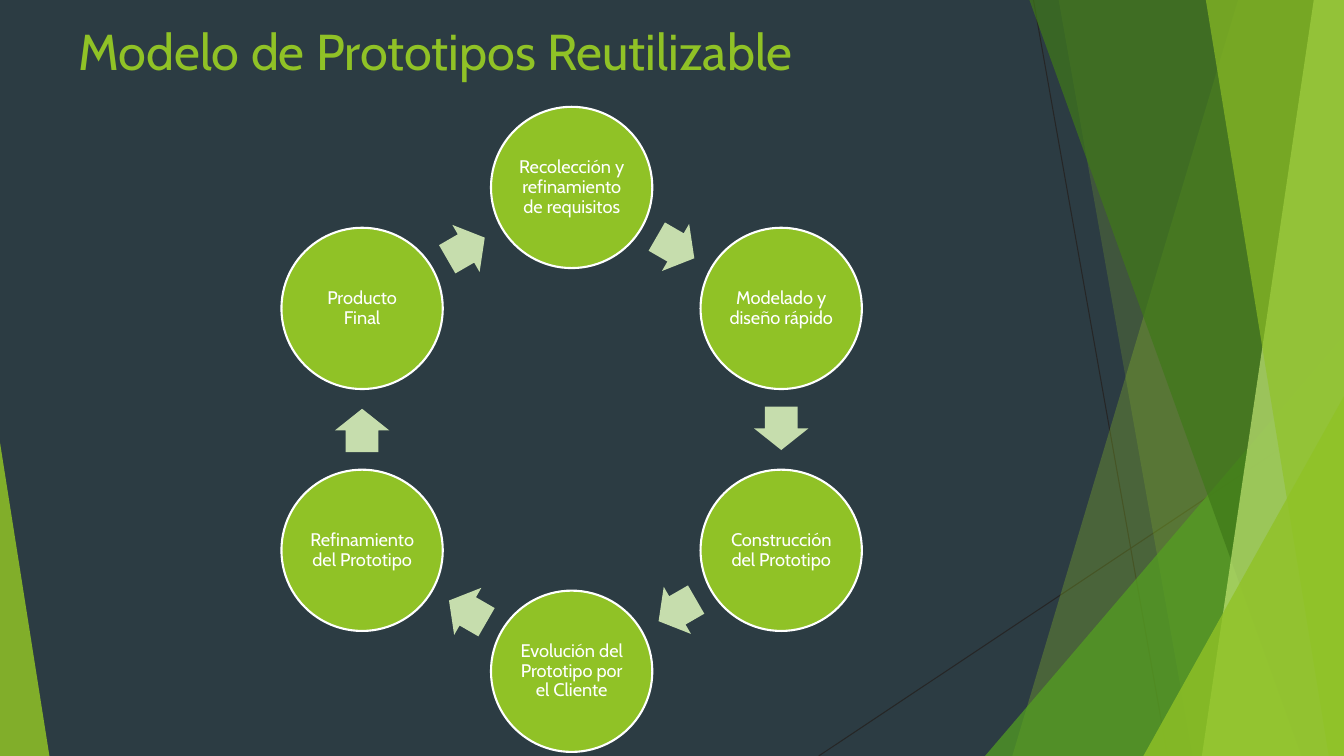
from math import cos, radians, sin

from lxml import etree
from pptx import Presentation
from pptx.dml.color import RGBColor
from pptx.enum.shapes import MSO_CONNECTOR, MSO_SHAPE
from pptx.enum.text import MSO_ANCHOR, PP_ALIGN
from pptx.oxml.ns import qn
from pptx.util import Inches, Pt

STRAIGHT = MSO_CONNECTOR.STRAIGHT
TRIANGLE, OVAL, RIGHT_ARROW = MSO_SHAPE.ISOSCELES_TRIANGLE, MSO_SHAPE.OVAL, MSO_SHAPE.RIGHT_ARROW
MIDDLE, CENTER = MSO_ANCHOR.MIDDLE, PP_ALIGN.CENTER

SLATE = RGBColor(0x2C, 0x3C, 0x43)
CHARCOAL = RGBColor(0x26, 0x26, 0x26)
LIME = RGBColor(0x90, 0xC2, 0x26)
GREEN = RGBColor(0x54, 0xA0, 0x21)
FOREST = RGBColor(0x3F, 0x78, 0x19)
PALE_LIME = RGBColor(0xC0, 0xE4, 0x74)
PALE_GREEN = RGBColor(0xC6, 0xDD, 0xAD)
WHITE = RGBColor(0xFF, 0xFF, 0xFF)

FONT = "Cabin"
WIDTH, HEIGHT = 13.33, 7.5
CYCLE_X, CYCLE_Y, CYCLE_RADIUS = 5.67, 4.26, 2.4
STAGE_SIZE = 1.6
ARROW_WIDTH, ARROW_HEIGHT, ARROW_LAG = 0.43, 0.54, 0.01
STAGES = [
    "Recolección y refinamiento de requisitos",
    "Modelado y diseño rápido",
    "Construcción del Prototipo",
    "Evolución del Prototipo por el Cliente",
    "Refinamiento del Prototipo",
    "Producto Final",
]


def paint(shape, color, opacity=100):
    """Give a shape a flat fill with no outline or shadow."""
    shape.shadow.inherit = False
    shape.line.fill.background()
    shape.fill.solid()
    shape.fill.fore_color.rgb = color
    if opacity < 100:
        tint = shape.fill._xPr.find(qn("a:solidFill"))[0]
        etree.SubElement(tint, qn("a:alpha"), val=str(opacity * 1000))


def add_ray(slide, start, end):
    """Draw a thin dark line between two points."""
    ray = slide.shapes.add_connector(STRAIGHT, *map(Inches, start + end))
    ray.line.color.rgb = CHARCOAL
    ray.line.width = Pt(0.75)
    etree.SubElement(ray._element.spPr, qn("a:effectLst"))


def add_facet(slide, top_x, bottom_x, color, opacity):
    """Fill the area between a slanted edge and the right side of the slide."""
    builder = slide.shapes.build_freeform(Inches(top_x), 0)
    corners = [(WIDTH, 0), (WIDTH, HEIGHT), (bottom_x, HEIGHT)]
    builder.add_line_segments([(Inches(x), Inches(y)) for x, y in corners])
    paint(builder.convert_to_shape(), color, opacity)


def add_corner(slide, left, top, width, apex, color, opacity):
    """Draw a right triangle standing on the bottom edge of the slide."""
    corner = slide.shapes.add_shape(
        TRIANGLE, Inches(left), Inches(top), Inches(width), Inches(HEIGHT - top))
    corner.adjustments[0] = apex
    paint(corner, color, opacity)


def add_backdrop(slide):
    """Draw the translucent facets around the slide."""
    slide.background.fill.solid()
    slide.background.fill.fore_color.rgb = SLATE
    add_ray(slide, (10.25, 0), (11.58, HEIGHT))
    add_ray(slide, (WIDTH, 4.03), (8.12, HEIGHT))
    add_facet(slide, 12.28, 10.04, LIME, 30)
    add_facet(slide, 10.5, 11.83, LIME, 20)
    add_corner(slide, 9.77, 3.33, 3.56, 1, GREEN, 72)
    add_facet(slide, 10.21, 12.91, FOREST, 70)
    add_facet(slide, 13.03, 11.92, PALE_LIME, 70)
    add_facet(slide, 11.96, 13.18, LIME, 65)
    add_corner(slide, 11.34, 3.93, 1.99, 1, LIME, 80)
    add_corner(slide, 0, 4.39, 0.49, 0, LIME, 85)


def write(paragraph, text, size, color):
    """Set the text and font of a paragraph."""
    paragraph.text = text
    paragraph.font.name = FONT
    paragraph.font.size = Pt(size)
    paragraph.font.color.rgb = color


def add_title(slide, text):
    """Add the slide heading."""
    title = slide.shapes.add_textbox(Inches(0.68), Inches(0.15), Inches(9.4), Inches(0.91))
    title.text_frame.word_wrap = True
    write(title.text_frame.paragraphs[0], text, 36, LIME)


def add_stage(slide, text, x, y):
    """Add a labelled circle centred on a point."""
    stage = slide.shapes.add_shape(
        OVAL, Inches(x - STAGE_SIZE / 2), Inches(y - STAGE_SIZE / 2),
        Inches(STAGE_SIZE), Inches(STAGE_SIZE))
    paint(stage, LIME)
    stage.line.color.rgb = WHITE
    stage.line.width = Pt(1.5)
    frame = stage.text_frame
    frame.word_wrap = True
    frame.vertical_anchor = MIDDLE
    frame.margin_left = frame.margin_right = Inches(0.02)
    frame.margin_top = frame.margin_bottom = Inches(0.02)
    label = frame.paragraphs[0]
    label.alignment = CENTER
    label.line_spacing = 0.9
    write(label, text, 13, WHITE)


def add_arrow(slide, x, y, rotation):
    """Add a block arrow centred on a point."""
    arrow = slide.shapes.add_shape(
        RIGHT_ARROW, Inches(x - ARROW_WIDTH / 2), Inches(y - ARROW_HEIGHT / 2),
        Inches(ARROW_WIDTH), Inches(ARROW_HEIGHT))
    arrow.adjustments[0] = 0.6
    arrow.adjustments[1] = 0.5
    arrow.rotation = rotation
    paint(arrow, PALE_GREEN)


def add_cycle(slide):
    """Place the stages clockwise from the top with arrows between them."""
    step = 360 / len(STAGES)
    arrow_radius = CYCLE_RADIUS * cos(radians(step / 2))
    for index, stage in enumerate(STAGES):
        angle = radians(index * step - 90)
        add_stage(slide, stage, CYCLE_X + CYCLE_RADIUS * cos(angle),
                  CYCLE_Y + CYCLE_RADIUS * sin(angle))
        rotation = (index + 0.5) * step
        heading = radians(rotation)
        add_arrow(slide,
                  CYCLE_X + arrow_radius * sin(heading) - ARROW_LAG * cos(heading),
                  CYCLE_Y - arrow_radius * cos(heading) - ARROW_LAG * sin(heading),
                  rotation)


def main():
    """Build and save the presentation."""
    presentation = Presentation()
    presentation.slide_width = Inches(WIDTH)
    presentation.slide_height = Inches(HEIGHT)
    slide = presentation.slides.add_slide(presentation.slide_layouts[6])
    add_backdrop(slide)
    add_title(slide, "Modelo de Prototipos Reutilizable")
    add_cycle(slide)
    presentation.save("out.pptx")


if __name__ == "__main__":
    main()
